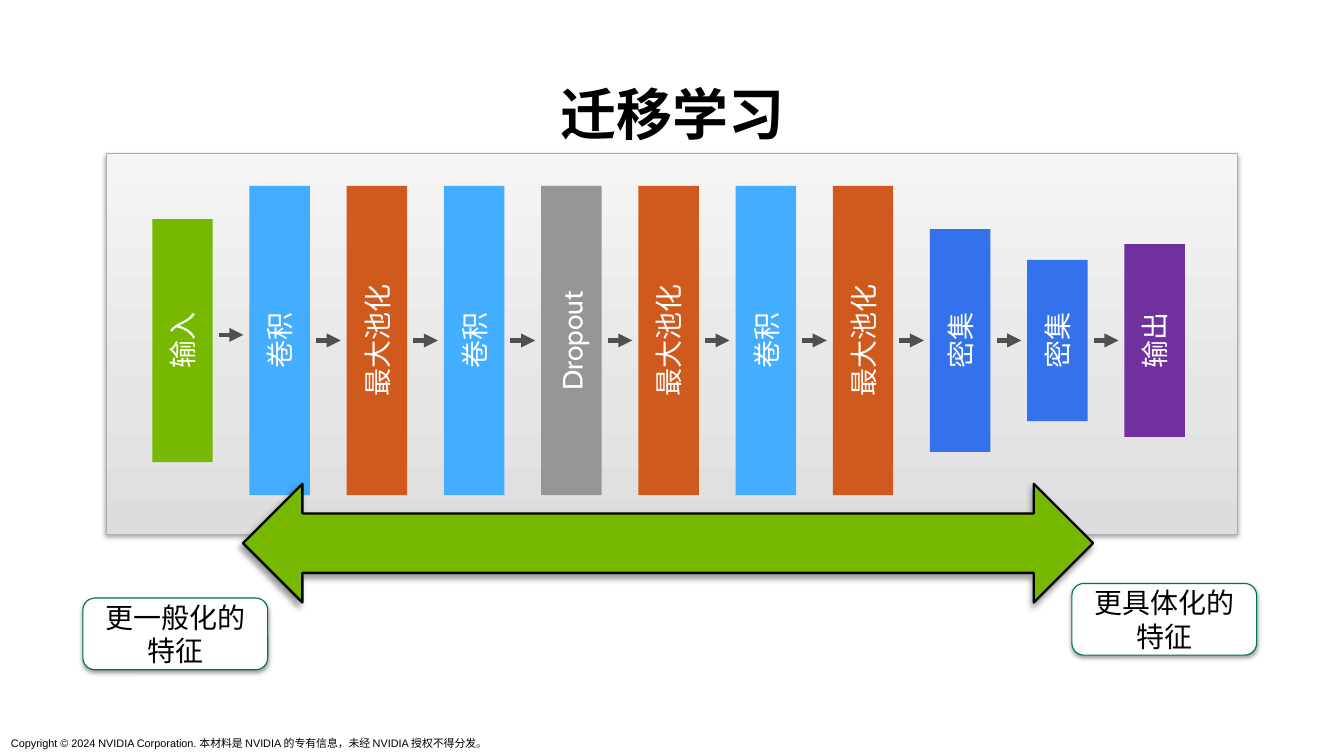
from lxml.etree import SubElement
from pptx import Presentation
from pptx.dml.color import RGBColor
from pptx.enum.shapes import MSO_CONNECTOR, MSO_SHAPE as Shape
from pptx.enum.text import MSO_ANCHOR as Anchor, PP_ALIGN as Align
from pptx.oxml.ns import qn
from pptx.util import Inches, Pt

THEME = {
    "input": "76B900", "conv": "43ADFF", "pool": "D0591E", "drop": "969696",
    "dense": "3372EC", "output": "7030A0",
    "white": "FFFFFF", "black": "000000", "flow": "505050",
    "panel_line": "AEAEAE", "label_line": "00734F",
    "panel_stops": [(0, "DDDDDD"), (35, "E6E6E6"), (100, "F5F5F5")],
    "font": "Cabin", "small_font": "Arial",
    "title": 36, "body": 18, "small": 7,
}
# Opacity %, blur pt, distance pt, direction degrees
SOFT_SHADOW = (38, 3.1, 1.6, 90)
ARROW_SHADOW = (40, 4, 3, 135)

# Content
TITLE = "迁移学习"
COPYRIGHT = ("Copyright © 2024 NVIDIA Corporation. 本材料是 NVIDIA 的专有信息，"
             "未经 NVIDIA 授权不得分发。")
LAYERS = [  # text, colour, drawn height
    ("输入", "input", 2.17), ("卷积", "conv", 2.76), ("最大池化", "pool", 2.76),
    ("卷积", "conv", 2.76), ("Dropout", "drop", 2.76), ("最大池化", "pool", 2.76),
    ("卷积", "conv", 2.76), ("最大池化", "pool", 2.76), ("密集", "dense", 1.99),
    ("密集", "dense", 1.44), ("输出", "output", 1.72),
]
LABELS = [("更一般化的特征", 0.74, 5.34), ("更具体化的特征", 9.57, 5.21)]

# Layer row
FIRST_X, LAST_X, MID_Y = 1.63, 10.31, 3.04
BLOCK_W, FLOW_W = 0.54, 0.22
PITCH = (LAST_X - FIRST_X) / (len(LAYERS) - 1)


def rgb(name):
    return RGBColor.from_string(THEME.get(name, name))


def write(sp, text, color="black", anchor=Anchor.MIDDLE, align=Align.CENTER,
          wrap=True, size="body", font="font", bold=False):
    tf = sp.text_frame
    tf.word_wrap, tf.vertical_anchor = wrap, anchor
    p = tf.paragraphs[0]
    p.alignment = align
    r = p.add_run()
    r.text = text
    values = {"name": THEME[font], "size": Pt(THEME[size]), "bold": bold}
    for key, value in values.items():
        setattr(r.font, key, value)
    r.font.color.rgb = rgb(color)
    return p


def add_shape(slide, kind, box, fill=None, line=None, width=0.75, shadow=None):
    sp = slide.shapes.add_shape(kind, *map(Inches, box))
    if fill:
        sp.fill.solid()
        sp.fill.fore_color.rgb = rgb(fill)
    if line:
        sp.line.color.rgb = rgb(line)
        sp.line.width = Pt(width)
    else:
        sp.line.fill.background()
    sp.shadow.inherit = False
    if shadow:
        add_shadow(sp, *shadow)
    return sp


def add_shadow(sp, opacity, blur, dist, angle):
    effects = sp._element.spPr.find(qn("a:effectLst"))
    outer = SubElement(effects, qn("a:outerShdw"), blurRad=str(Pt(blur)),
                       dist=str(Pt(dist)), dir=str(angle * 60000),
                       rotWithShape="0")
    color = SubElement(outer, qn("a:srgbClr"), val=THEME["black"])
    SubElement(color, qn("a:alpha"), val=str(opacity * 1000))


def fill_gradient(sp, stops, angle):
    sp.fill.gradient()
    sp.fill.gradient_angle = angle
    stop_list = sp._element.spPr.find(qn("a:gradFill")).find(qn("a:gsLst"))
    for old in list(stop_list):
        stop_list.remove(old)
    for pos, color in stops:
        stop = SubElement(stop_list, qn("a:gs"), pos=str(pos * 1000))
        SubElement(stop, qn("a:srgbClr"), val=color)


def add_flow(slide, x, y):
    line = slide.shapes.add_connector(
        MSO_CONNECTOR.STRAIGHT, *map(Inches, (x, y, x + FLOW_W, y)))
    line.line.color.rgb = rgb("flow")
    line.line.width = Pt(3)
    SubElement(line.line._get_or_add_ln(), qn("a:tailEnd"), type="triangle")
    SubElement(line._element.spPr, qn("a:effectLst"))


def main():
    prs = Presentation()
    prs.slide_width, prs.slide_height = Inches(12), Inches(6.75)
    slide = prs.slides.add_slide(prs.slide_layouts[6])

    # Title
    sp = slide.shapes.add_textbox(*map(Inches, (0.55, 0.72, 10.91, 0.65)))
    p = write(sp, TITLE, anchor=Anchor.BOTTOM, size="title", bold=True)
    p.line_spacing = 0.9

    # Panel
    panel = add_shape(slide, Shape.RECTANGLE, (0.95, 1.37, 10.1, 3.4),
                      line="panel_line", shadow=SOFT_SHADOW)
    fill_gradient(panel, THEME["panel_stops"], 90)

    # Layers, turned so that their text reads upwards
    for i, (text, color, length) in enumerate(LAYERS):
        x = FIRST_X + i * PITCH
        box = (x - length / 2, MID_Y - BLOCK_W / 2, length, BLOCK_W)
        sp = add_shape(slide, Shape.RECTANGLE, box, fill=color)
        sp.rotation = 270
        write(sp, text, color="white")

    # Flow arrows, centred between neighbours; the first sits a little higher
    for i in range(len(LAYERS) - 1):
        x = FIRST_X + (i + 0.5) * PITCH - FLOW_W / 2
        add_flow(slide, x, MID_Y - (0.05 if i == 0 else 0))

    # General-to-specific arrow and its labels
    add_shape(slide, Shape.LEFT_RIGHT_ARROW, (2.17, 4.32, 7.59, 1.06),
              fill="input", line="black", width=1.5, shadow=ARROW_SHADOW)
    for text, x, y in LABELS:
        sp = add_shape(slide, Shape.ROUNDED_RECTANGLE, (x, y, 1.65, 0.64),
                       fill="white", line="label_line", shadow=SOFT_SHADOW)
        write(sp, text)

    # Copyright line
    sp = slide.shapes.add_textbox(*map(Inches, (0, 6.53, 4.53, 0.22)))
    write(sp, COPYRIGHT, anchor=Anchor.TOP, align=Align.LEFT, wrap=False,
          size="small", font="small_font")

    prs.save("out.pptx")


if __name__ == "__main__":
    main()
